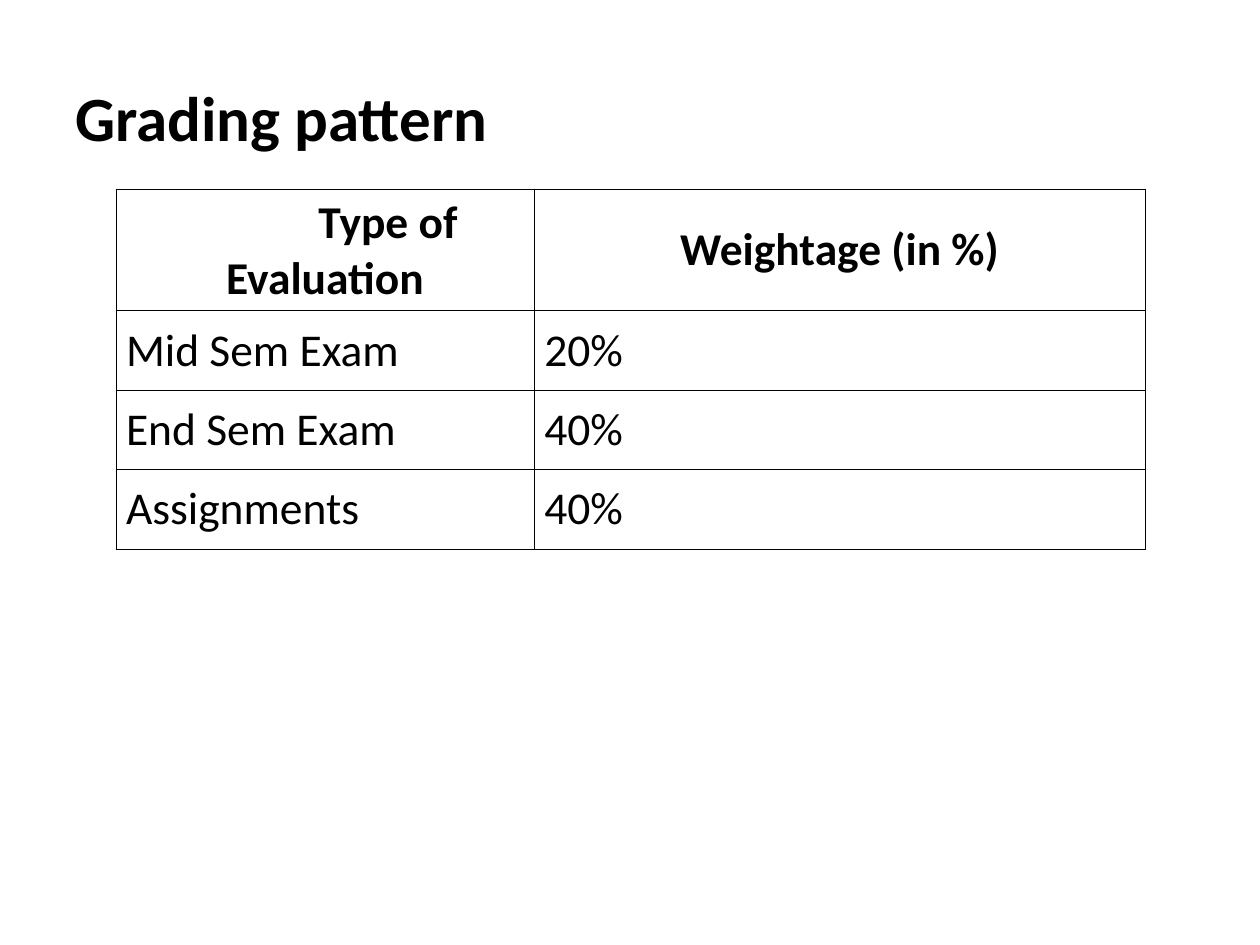
from lxml.etree import SubElement
from pptx import Presentation
from pptx.dml.color import RGBColor
from pptx.enum.text import MSO_ANCHOR, PP_ALIGN
from pptx.oxml.ns import qn
from pptx.util import Inches, Pt

BLACK = RGBColor(0x00, 0x00, 0x00)
FONT = "Calibri"
HEADINGS = ("\tType of Evaluation", "Weightage (in %)")
GRADES = (
    ("Mid Sem Exam", "20%"),
    ("End Sem Exam", "40%"),
    ("Assignments", "40%"),
)
COLUMN_WIDTHS = (3.32, 4.85)
ROW_HEIGHTS = (0.88, 0.63, 0.63, 0.63)


def style_paragraph(paragraph, size, bold, align=PP_ALIGN.LEFT):
    """Give a paragraph one-inch tab stops, its alignment and its font."""
    paragraph.alignment = align
    tabs = SubElement(paragraph._p.get_or_add_pPr(), qn("a:tabLst"))
    for inch in range(8):
        SubElement(tabs, qn("a:tab"), pos=str(Inches(inch)), algn="l")
    font = paragraph.font
    font.name, font.size, font.bold = FONT, Pt(size), bold
    font.color.rgb = BLACK


def draw_borders(cell):
    """Draw a thin black line on all four sides of a cell."""
    properties = cell._tc.get_or_add_tcPr()
    for side in ("lnL", "lnR", "lnT", "lnB"):
        line = SubElement(properties, qn(f"a:{side}"), w=str(Pt(0.45)))
        fill = SubElement(line, qn("a:solidFill"))
        SubElement(fill, qn("a:srgbClr"), val=str(BLACK))


def fill_cell(cell, text, is_heading):
    """Write one table cell with its margins, borders and text style."""
    cell.text = text
    cell.vertical_anchor = MSO_ANCHOR.MIDDLE
    cell.margin_left = cell.margin_right = Inches(0.08)
    cell.margin_top = cell.margin_bottom = Inches(0.05)
    draw_borders(cell)
    cell.fill.background()
    align = PP_ALIGN.CENTER if is_heading else PP_ALIGN.LEFT
    style_paragraph(cell.text_frame.paragraphs[0], 26, is_heading, align)


def add_title(slide, left, top, width, height):
    """Place the slide title in the given box."""
    frame = slide.shapes.add_textbox(left, top, width, height).text_frame
    frame.word_wrap = True
    frame.vertical_anchor = MSO_ANCHOR.MIDDLE
    frame.text = "Grading pattern"
    style_paragraph(frame.paragraphs[0], 36, True)


def add_grading_table(slide, left, top, width, height):
    """Place the grading table in the given box, sharing it out by proportion."""
    rows = (HEADINGS, *GRADES)
    table = slide.shapes.add_table(
        len(rows), len(HEADINGS), left, top, width, height
    ).table
    table.first_row = table.horz_banding = False
    for column, share in zip(table.columns, COLUMN_WIDTHS):
        column.width = int(width * share / sum(COLUMN_WIDTHS))
    for row, share in zip(table.rows, ROW_HEIGHTS):
        row.height = int(height * share / sum(ROW_HEIGHTS))
    for row_index, texts in enumerate(rows):
        for column_index, text in enumerate(texts):
            fill_cell(table.cell(row_index, column_index), text, row_index == 0)


def main():
    """Build the grading slide and save it."""
    presentation = Presentation()
    presentation.slide_width, presentation.slide_height = Inches(10), Inches(7.5)
    slide = presentation.slides.add_slide(presentation.slide_layouts[6])
    add_title(slide, Inches(0.5), Inches(0.3), Inches(9), Inches(1.25))
    add_grading_table(slide, Inches(0.92), Inches(1.5), Inches(8.17), Inches(2.77))
    presentation.save("out.pptx")


if __name__ == "__main__":
    main()
